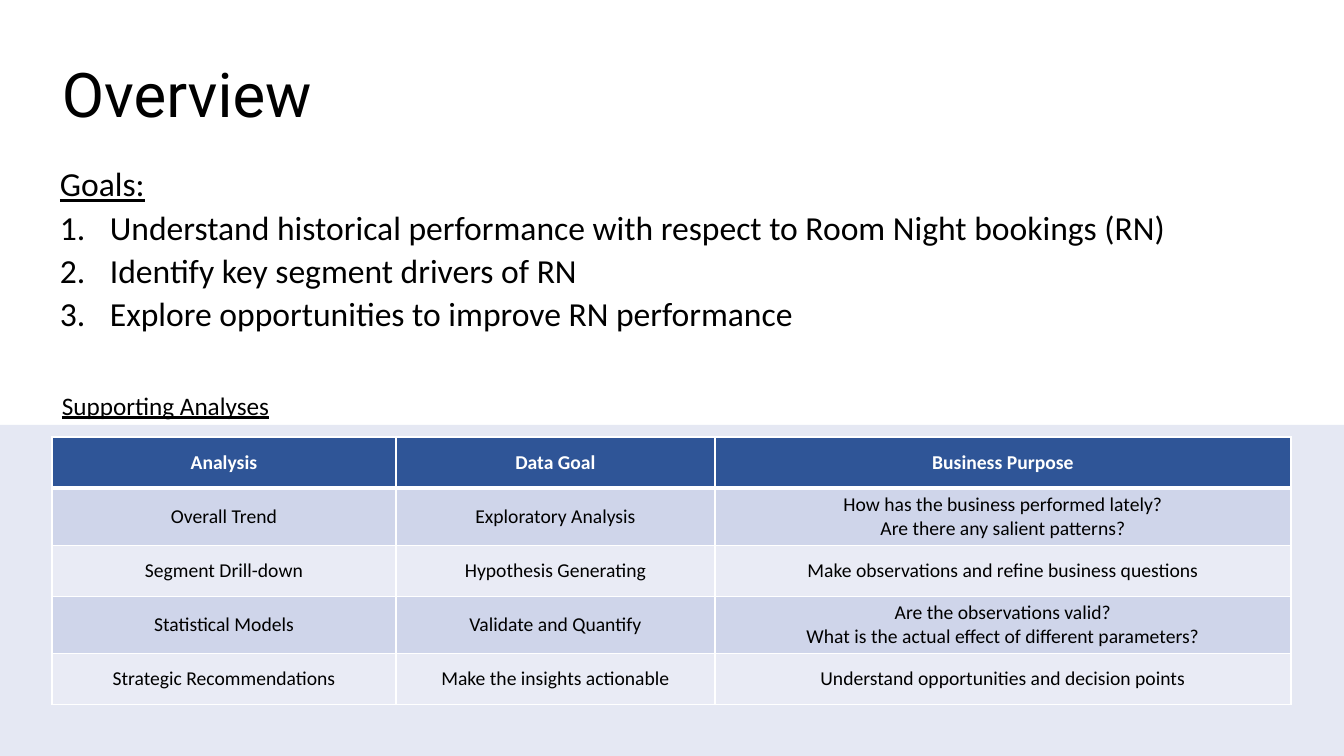
from lxml import etree
from pptx import Presentation
from pptx import util as u
from pptx.dml.color import RGBColor
from pptx.enum import shapes, text
from pptx.oxml.ns import qn

TITLE = "Overview"
GOALS_HEADING = "Goals:"
GOALS = [
    "Understand historical performance with respect to Room Night bookings (RN)",
    "Identify key segment drivers of RN",
    "Explore opportunities to improve RN performance",
]
ANALYSES_HEADING = "Supporting Analyses"
ANALYSES = [
    (["Analysis"], ["Data Goal"], ["Business Purpose"]),
    (["Overall Trend"], ["Exploratory Analysis"],
     ["How has the business performed lately?", "Are there any salient patterns?"]),
    (["Segment Drill-down"], ["Hypothesis Generating"],
     ["Make observations and refine business questions"]),
    (["Statistical Models"], ["Validate and Quantify"],
     ["Are the observations valid?",
      "What is the actual effect of different parameters?"]),
    (["Strategic Recommendations"], ["Make the insights actionable"],
     ["Understand opportunities and decision points"]),
]

BLACK = RGBColor(0x00, 0x00, 0x00)
WHITE = RGBColor(0xFF, 0xFF, 0xFF)
BAND_BLUE = RGBColor(0xE5, 0xE8, 0xF3)
HEADER_BLUE = RGBColor(0x2F, 0x55, 0x97)
ROW_FILLS = [RGBColor(0xE9, 0xEB, 0xF5), RGBColor(0xCF, 0xD5, 0xEA)]

SLIDE_W, SLIDE_H = 1344, 756
BAND_TOP = 425
LEFT = 52
TABLE_TOP = 437
COLUMN_WIDTHS = [344, 319, 576]
ROW_HEIGHT = 51
INDENT = 50


def px(n):
    return u.Emu(round(n * 914400 / 100.8))


def add_run(paragraph, words, size, color=BLACK, font="Calibri", **style):
    run = paragraph.add_run()
    run.text = words
    run.font.size = u.Pt(size)
    run.font.name = font
    run.font.color.rgb = color
    for name, value in style.items():
        setattr(run.font, name, value)


def add_frame(slide, left, top, width, height):
    """Add a wrapping text box and return its text frame."""
    frame = slide.shapes.add_textbox(*map(px, (left, top, width, height))).text_frame
    frame.word_wrap = True
    return frame


def next_paragraph(frame, index):
    return frame.paragraphs[0] if index == 0 else frame.add_paragraph()


def add_goals(slide):
    frame = add_frame(slide, 0, 163, 1292, 222)
    for i, words in enumerate([GOALS_HEADING] + GOALS):
        goal = next_paragraph(frame, i)
        goal.line_spacing = 0.9
        goal.space_before = u.Pt(5)
        add_run(goal, words, 24, underline=i == 0)
        props = goal._p.get_or_add_pPr()
        props.set("marL", str(px(INDENT if i == 0 else 2 * INDENT)))
        props.set("indent", str(px(0 if i == 0 else -INDENT)))
        if i:
            etree.SubElement(props, qn("a:buAutoNum"), type="arabicPeriod")


def set_borders(cell, row):
    """Draw white borders, with a thicker line between header and body."""
    props = cell._tc.get_or_add_tcPr()
    widths = {"L": 1, "R": 1, "T": 3 if row == 1 else 1, "B": 3 if row == 0 else 1}
    for i, (side, width) in enumerate(widths.items()):
        line = etree.Element(qn(f"a:ln{side}"), w=str(u.Pt(width)))
        fill = etree.SubElement(line, qn("a:solidFill"))
        etree.SubElement(fill, qn("a:srgbClr"), val=str(WHITE))
        props.insert(i, line)


def add_analyses(slide):
    table = slide.shapes.add_table(
        len(ANALYSES), len(COLUMN_WIDTHS), px(LEFT), px(TABLE_TOP),
        px(sum(COLUMN_WIDTHS)), px(ROW_HEIGHT * len(ANALYSES))).table
    for column, width in zip(table.columns, COLUMN_WIDTHS):
        column.width = px(width)
    for r, analysis in enumerate(ANALYSES):
        table.rows[r].height = px(ROW_HEIGHT)
        header = r == 0
        for c, lines in enumerate(analysis):
            cell = table.cell(r, c)
            cell.vertical_anchor = text.MSO_ANCHOR.MIDDLE
            cell.fill.solid()
            cell.fill.fore_color.rgb = HEADER_BLUE if header else ROW_FILLS[r % 2]
            set_borders(cell, r)
            for i, words in enumerate(lines):
                line = next_paragraph(cell.text_frame, i)
                line.alignment = text.PP_ALIGN.CENTER
                add_run(line, words, 14, WHITE if header else BLACK, bold=header)


def main():
    deck = Presentation()
    deck.slide_width, deck.slide_height = px(SLIDE_W), px(SLIDE_H)
    slide = deck.slides.add_slide(deck.slide_layouts[6])

    title = add_frame(slide, LEFT, 33, 1121, 130)
    title.vertical_anchor = text.MSO_ANCHOR.MIDDLE
    title.paragraphs[0].line_spacing = 0.9
    add_run(title.paragraphs[0], TITLE, 44, font="Roboto")

    add_goals(slide)

    band = slide.shapes.add_shape(
        shapes.MSO_SHAPE.RECTANGLE, 0, px(BAND_TOP), px(SLIDE_W), px(SLIDE_H - BAND_TOP))
    band.shadow.inherit = False
    band.fill.solid()
    band.fill.fore_color.rgb = BAND_BLUE
    band.line.fill.background()

    heading = add_frame(slide, LEFT, 385, 390, 40)
    add_run(heading.paragraphs[0], ANALYSES_HEADING, 18, underline=True)

    add_analyses(slide)
    deck.save("out.pptx")


if __name__ == "__main__":
    main()
